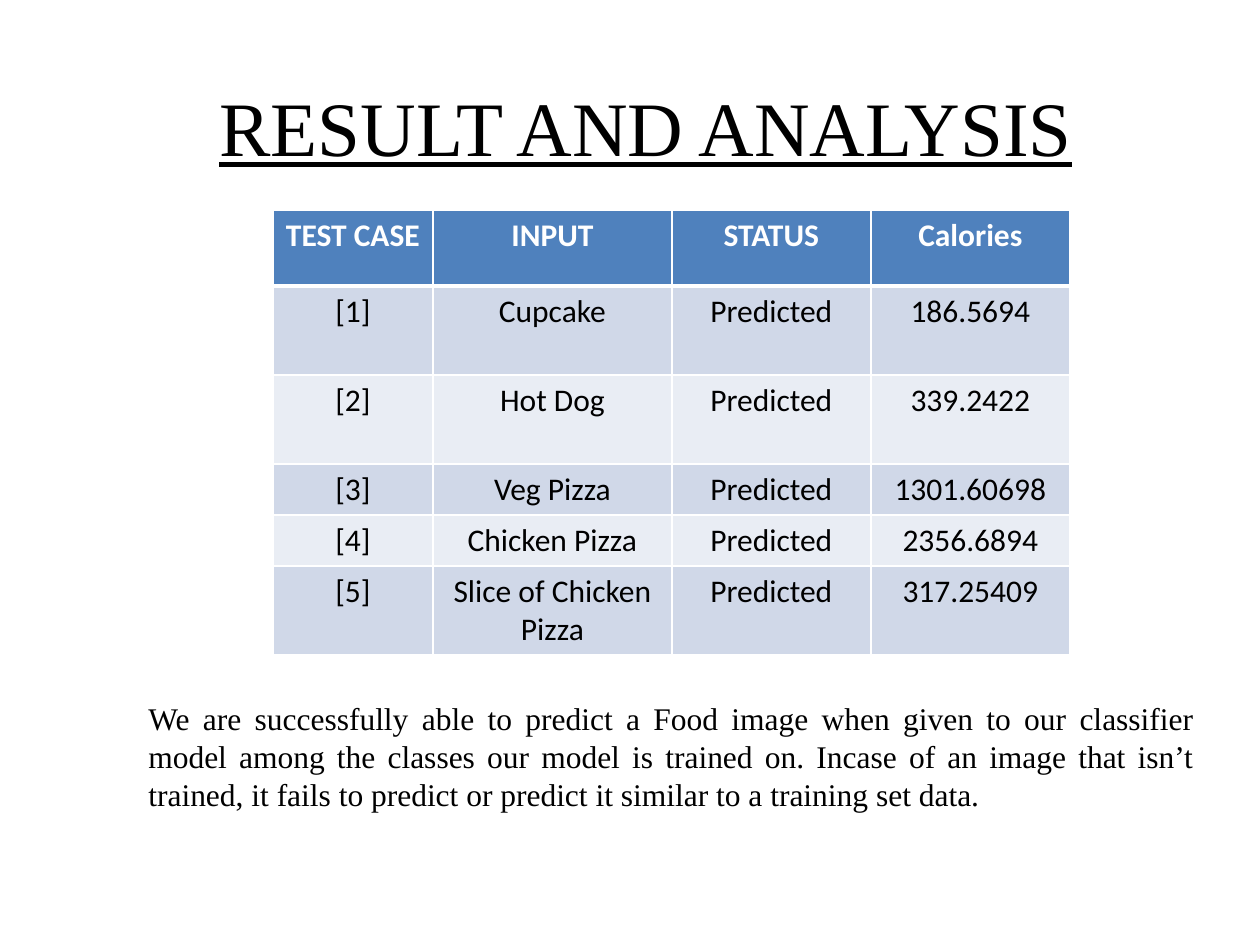
import pptx
import pptx.dml.color
import pptx.enum.text
import pptx.oxml
import pptx.oxml.ns
import pptx.util

ALIGN = pptx.enum.text.PP_ALIGN


def px(n):
    return pptx.util.Emu(round(n * 914400 / 126))


def color(value):
    return pptx.dml.color.RGBColor.from_string(value)


class Deck:
    body_font, table_font = "Times New Roman", "Calibri"
    black, white = "000000", "FFFFFF"
    header, bands = "4F81BD", ("D0D8E8", "E9EDF4")

    def __init__(self, width, height):
        self.prs = pptx.Presentation()
        self.prs.slide_width, self.prs.slide_height = px(width), px(height)
        self.s = self.prs.slides.add_slide(self.prs.slide_layouts[6])

    def style(self, p, font, size, ink, align, bold=False):
        p.alignment = align
        p.font.name, p.font.size, p.font.bold = font, pptx.util.Pt(size), bold
        p.font.color.rgb = color(ink)

    def text(self, x, y, w, h, text, size, align, underline=False, before=0):
        tf = self.s.shapes.add_textbox(px(x), px(y), px(w), px(h)).text_frame
        tf.word_wrap = True
        p = tf.paragraphs[0]
        p.text = text
        self.style(p, self.body_font, size, self.black, align)
        p.font.underline = underline
        p.space_before = pptx.util.Pt(before)

    def border(self, cell, side, points):
        ns = pptx.oxml.ns.nsdecls("a")
        return pptx.oxml.parse_xml(
            f'<a:ln{side} {ns} w="{pptx.util.Pt(points)}"><a:solidFill>'
            f'<a:srgbClr val="{self.white}"/></a:solidFill></a:ln{side}>')

    def cell(self, cell, text, row):
        is_header = row == 0
        cell.fill.solid()
        cell.fill.fore_color.rgb = color(
            self.header if is_header else self.bands[(row - 1) % 2])
        p = cell.text_frame.paragraphs[0]
        p.text = text
        ink = self.white if is_header else self.black
        self.style(p, self.table_font, 18, ink, ALIGN.CENTER, is_header)
        # The rule under the header is thicker than the others
        widths = {"L": 1, "R": 1, "T": 3 if row == 1 else 1,
                  "B": 3 if is_header else 1}
        tc_pr = cell._tc.get_or_add_tcPr()
        for i, (side, points) in enumerate(widths.items()):
            tc_pr.insert(i, self.border(cell, side, points))

    def table(self, x, y, widths, heights, rows):
        table = self.s.shapes.add_table(
            len(heights), len(widths), px(x), px(y),
            px(sum(widths)), px(sum(heights))).table
        for column, w in zip(table.columns, widths):
            column.width = px(w)
        for row, h in zip(table.rows, heights):
            row.height = px(h)
        for i, row in enumerate(rows):
            for j, text in enumerate(row):
                self.cell(table.cell(i, j), text, i)


def main():
    deck = Deck(1260, 945)

    # Conclusion
    deck.text(136, 693, 1071, 136,
              "We are successfully able to predict a Food image when given to "
              "our classifier model among the classes our model is trained on. "
              "Incase of an image that isn’t trained, it fails to predict or "
              "predict it similar to a training set data.",
              18, ALIGN.JUSTIFY, before=3.6)

    # Test results
    results = [("Cupcake", "186.5694"), ("Hot Dog", "339.2422"),
               ("Veg Pizza", "1301.60698"), ("Chicken Pizza", "2356.6894"),
               ("Slice of Chicken Pizza", "317.25409")]
    rows = [("TEST CASE", "INPUT", "STATUS", "Calories")]
    rows += [(f"[{n}]", food, "Predicted", calories)
             for n, (food, calories) in enumerate(results, 1)]
    deck.table(273, 210, (160, 239, 199, 199), (76, 89, 89, 51, 51, 89), rows)

    # Title
    deck.text(189, 73, 914, 106, "RESULT AND ANALYSIS", 44, ALIGN.CENTER,
              underline=True)

    deck.prs.save("out.pptx")


if __name__ == "__main__":
    main()
